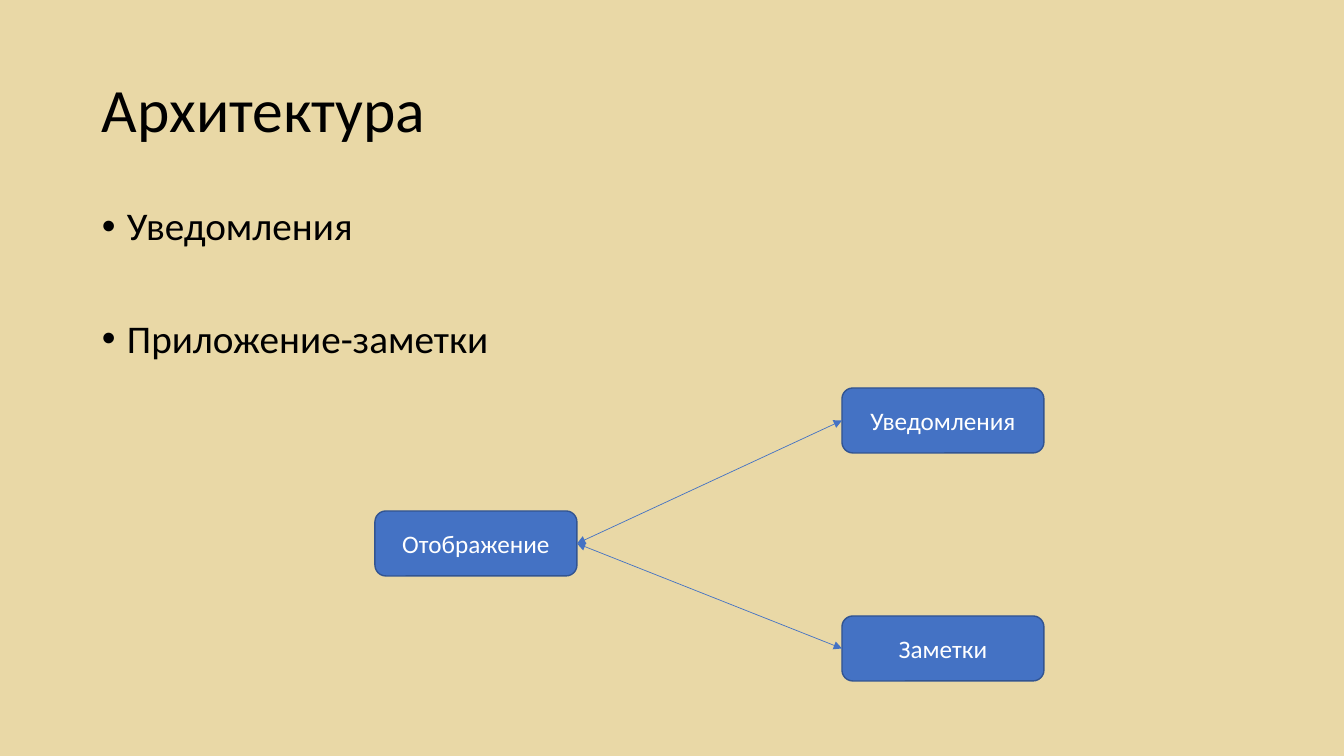
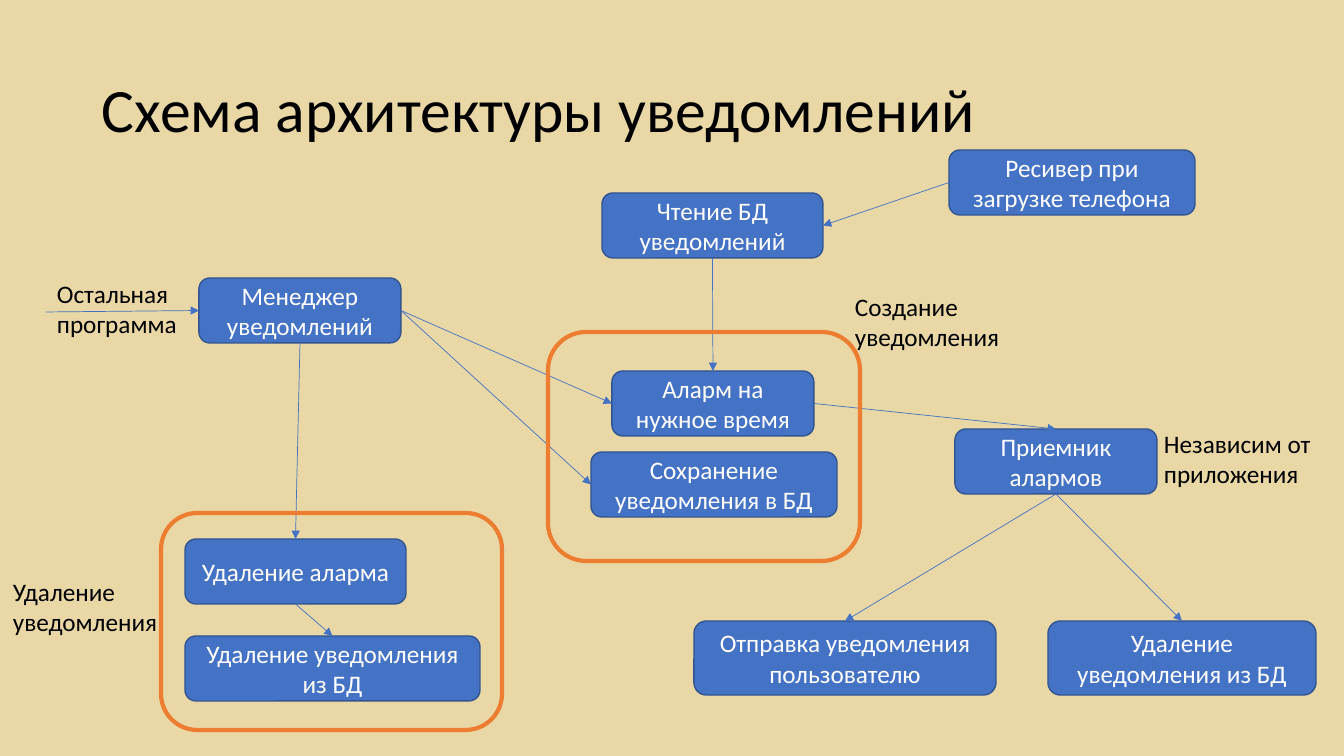
from dataclasses import dataclass

from lxml.etree import SubElement
from pptx import Presentation
from pptx.dml.color import RGBColor
from pptx.enum.shapes import MSO_CONNECTOR, MSO_SHAPE
from pptx.enum.text import MSO_ANCHOR as ANCHOR, MSO_AUTO_SIZE as AUTO_SIZE, PP_ALIGN as ALIGN
from pptx.oxml.ns import qn
from pptx.util import Pt


@dataclass(frozen=True)
class Theme:
    font: str = "Calibri"
    title_size: int = 44
    bullet_size: int = 28
    label_size: int = 18
    paper: RGBColor = RGBColor(0xE9, 0xD8, 0xA6)
    ink: RGBColor = RGBColor(0, 0, 0)
    node_text: RGBColor = RGBColor(0xFF, 0xFF, 0xFF)
    node_fill: RGBColor = RGBColor(0x44, 0x72, 0xC4)
    node_edge: RGBColor = RGBColor(0x32, 0x54, 0x91)
    group_edge: RGBColor = RGBColor(0xED, 0x7D, 0x31)


THEME = Theme()
EMU_PER_PX = 12192000 / 1344
TOP, LEFT, BOTTOM, RIGHT = range(4)
NODE_W, NODE_H = 202, 65
BULLET_INDENT = 25


def px(*lengths):
    """Turn px lengths into a list of EMU."""
    return [round(length * EMU_PER_PX) for length in lengths]


def write(shape, lines, size, color=THEME.ink, align=ALIGN.LEFT):
    """Fill a shape with one paragraph per line and return its paragraphs."""
    frame = shape.text_frame
    frame.text = "\n".join(lines)
    for paragraph in frame.paragraphs:
        paragraph.alignment = align
        paragraph.font.name = THEME.font
        paragraph.font.size = Pt(size)
        paragraph.font.color.rgb = color
    return frame.paragraphs


# nodes: key -> (text, left, top, width, height)
# links: (from key or free point, side, to key, side)
SLIDES = [
    dict(
        title="Архитектура",
        bullets=["Уведомления", "Приложение-заметки"],
        nodes={
            "notices": ("Уведомления", 842, 388, NODE_W, NODE_H),
            "notes": ("Заметки", 842, 616, NODE_W, NODE_H),
            "view": ("Отображение", 375, 511, NODE_W, NODE_H),
        },
        links=[
            ("view", RIGHT, "notes", LEFT),
            ("view", RIGHT, "notices", LEFT),
        ],
        arrowheads=["headEnd", "tailEnd"],
        groups=[],
        labels=[],
    ),
    dict(
        title="Схема архитектуры уведомлений",
        bullets=[],
        nodes={
            "read": ("Чтение БД уведомлений", 602, 193, 221, NODE_H),
            "alarm": ("Аларм на нужное время", 612, 371, NODE_W, NODE_H),
            "receiver": ("Приемник алармов", 955, 429, NODE_W, NODE_H),
            "clean": ("Удаление уведомления из БД", 1048, 621, 268, 74),
            "send": ("Отправка уведомления пользователю", 694, 621, 302, 74),
            "manager": ("Менеджер уведомлений", 199, 278, NODE_W, NODE_H),
            "save": ("Сохранение уведомления в БД", 591, 452, 246, NODE_H),
            "boot": ("Ресивер при загрузке телефона", 949, 150, 246, NODE_H),
            "drop_alarm": ("Удаление аларма", 185, 539, 221, NODE_H),
            "drop_notice": ("Удаление уведомления из БД", 185, 636, 295, NODE_H),
        },
        links=[
            ("boot", LEFT, "read", RIGHT),
            ("read", BOTTOM, "alarm", TOP),
            ("alarm", RIGHT, "receiver", TOP),
            ("receiver", BOTTOM, "clean", TOP),
            ("receiver", BOTTOM, "send", TOP),
            ("manager", RIGHT, "alarm", LEFT),
            ("manager", RIGHT, "save", LEFT),
            ((46, 312), None, "manager", LEFT),
            ("manager", BOTTOM, "drop_alarm", TOP),
            ("drop_alarm", BOTTOM, "drop_notice", TOP),
        ],
        arrowheads=["tailEnd"],
        groups=[(548, 332, 312, 229), (161, 513, 341, 217)],
        labels=[
            (["Независим от", "приложения"], 1154, 423, 168),
            (["Остальная", "программа"], 47, 273, 141),
            (["Создание", "уведомления"], 845, 286, 166),
            (["Удаление", "уведомления"], 3, 571, 166),
        ],
    ),
]

deck = Presentation()
deck.slide_width, deck.slide_height = px(1344, 756)

for content in SLIDES:
    slide = deck.slides.add_slide(deck.slide_layouts[6])
    slide.background.fill.solid()
    slide.background.fill.fore_color.rgb = THEME.paper
    shapes = slide.shapes

    title = shapes.add_textbox(*px(92, 40, 1159, 146))
    title.text_frame.word_wrap = True
    title.text_frame.vertical_anchor = ANCHOR.MIDDLE
    write(title, [content["title"]], THEME.title_size)[0].line_spacing = 0.9

    if content["bullets"]:
        topics = shapes.add_textbox(*px(92, 202, 1159, 480))
        topics.text_frame.word_wrap = True
        for index, topic in enumerate(write(topics, content["bullets"], THEME.bullet_size)):
            topic.line_spacing = 0.9
            topic.space_before = Pt(50 if index else 0)
            indent = topic._p.get_or_add_pPr()
            indent.set("marL", str(px(BULLET_INDENT)[0]))
            indent.set("indent", str(px(-BULLET_INDENT)[0]))
            SubElement(indent, qn("a:buFont")).set("typeface", "Arial")
            SubElement(indent, qn("a:buChar")).set("char", "•")
            # The schema wants the default run properties after the bullet.
            indent.append(indent.find(qn("a:defRPr")))

    nodes = {}
    for key, (text, *box) in content["nodes"].items():
        node = nodes[key] = shapes.add_shape(MSO_SHAPE.ROUNDED_RECTANGLE, *px(*box))
        node.shadow.inherit = False
        node.fill.solid()
        node.fill.fore_color.rgb = THEME.node_fill
        node.line.color.rgb = THEME.node_edge
        node.line.width = Pt(1)
        node.text_frame.word_wrap = True
        node.text_frame.vertical_anchor = ANCHOR.MIDDLE
        write(node, [text], THEME.label_size, THEME.node_text, ALIGN.CENTER)

    for source, source_side, target, target_side in content["links"]:
        start = (0, 0) if source in nodes else source
        link = shapes.add_connector(MSO_CONNECTOR.STRAIGHT, *px(*start, 0, 0))
        if source in nodes:
            link.begin_connect(nodes[source], source_side)
        link.end_connect(nodes[target], target_side)
        link.line.color.rgb = THEME.node_fill
        link.line.width = Pt(0.5)
        for end in content["arrowheads"]:
            SubElement(link.line._get_or_add_ln(), qn(f"a:{end}")).set("type", "triangle")
        SubElement(link._element.spPr, qn("a:effectLst"))

    for box in content["groups"]:
        group = shapes.add_shape(MSO_SHAPE.ROUNDED_RECTANGLE, *px(*box))
        group.shadow.inherit = False
        group.fill.background()
        group.line.color.rgb = THEME.group_edge
        group.line.width = Pt(3)

    for lines, left, top, width in content["labels"]:
        label = shapes.add_textbox(*px(left, top, width, 71))
        label.text_frame.word_wrap = False
        label.text_frame.auto_size = AUTO_SIZE.SHAPE_TO_FIT_TEXT
        write(label, lines, THEME.label_size)

deck.save("out.pptx")
